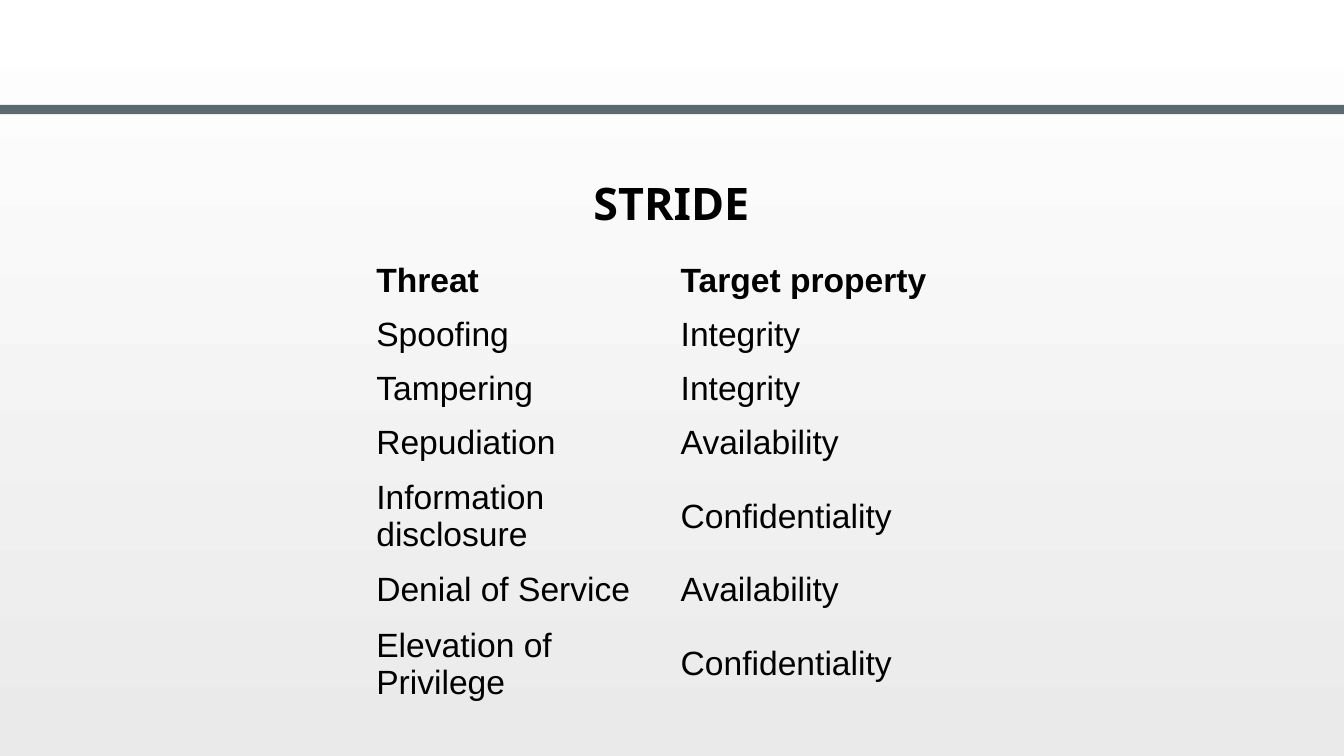
"""Build a slide that lists the STRIDE threats and the property each one targets."""
from pptx import Presentation
from pptx.dml.color import RGBColor
from pptx.enum.shapes import MSO_SHAPE
from pptx.enum.text import MSO_ANCHOR, PP_ALIGN
from pptx.oxml.ns import qn
from pptx.util import Inches, Pt

BLACK = RGBColor(0x00, 0x00, 0x00)
WHITE = RGBColor(0xFF, 0xFF, 0xFF)
LIGHT_GREY = RGBColor(0xEA, 0xEA, 0xEA)
SLATE = RGBColor(0x5E, 0x6A, 0x71)
NO_STYLE_NO_GRID = "{2D5ABB26-0587-4C30-8999-92F81FD0307C}"

THREATS = [
    ("Threat", "Target property"),
    ("Spoofing", "Integrity"),
    ("Tampering", "Integrity"),
    ("Repudiation", "Availability"),
    ("Information disclosure", "Confidentiality"),
    ("Denial of Service", "Availability"),
    ("Elevation of Privilege", "Confidentiality"),
]
ROW_HEIGHTS = [0.36, 0.36, 0.36, 0.36, 0.66, 0.36, 0.66]


def set_text(tf, text, size=18, font="Arial", bold=False,
             align=PP_ALIGN.LEFT, line_spacing=None):
    p = tf.paragraphs[0]
    p.alignment = align
    p.line_spacing = line_spacing
    r = p.add_run()
    r.text = text
    r.font.size = Pt(size)
    r.font.name = font
    r.font.bold = bold
    r.font.color.rgb = BLACK


def set_background(s):
    fill = s.background.fill
    fill.gradient()
    fill.gradient_angle = 90
    for stop, color in zip(fill.gradient_stops, (LIGHT_GREY, WHITE)):
        stop.color.rgb = color


def add_bar(s):
    sp = s.shapes.add_shape(MSO_SHAPE.RECTANGLE, Inches(0), Inches(0.78),
                            Inches(10), Inches(0.07))
    sp.shadow.inherit = False
    sp.fill.solid()
    sp.fill.fore_color.rgb = SLATE
    sp.line.fill.background()


def add_title(s, text):
    sp = s.shapes.add_textbox(Inches(0.39), Inches(1.32), Inches(9.21), Inches(0.44))
    tf = sp.text_frame
    tf.word_wrap = True
    tf.vertical_anchor = MSO_ANCHOR.BOTTOM
    tf.margin_left = tf.margin_right = Inches(0.5)
    set_text(tf, text, size=24, font="Noto Sans", bold=True,
             align=PP_ALIGN.CENTER, line_spacing=Pt(24))


def add_threat_table(s):
    frame = s.shapes.add_table(len(THREATS), 2, Inches(2.74), Inches(1.89),
                               Inches(4.53), Inches(sum(ROW_HEIGHTS)))
    table = frame.table
    table.horz_banding = False
    table._tbl.tblPr.find(qn("a:tableStyleId")).text = NO_STYLE_NO_GRID
    for i, (values, height) in enumerate(zip(THREATS, ROW_HEIGHTS)):
        table.rows[i].height = Inches(height)
        for cell, value in zip(table.rows[i].cells, values):
            cell.fill.background()
            cell.vertical_anchor = MSO_ANCHOR.MIDDLE
            cell.margin_left = cell.margin_right = Inches(0.06)
            cell.margin_top = cell.margin_bottom = Inches(0.05)
            set_text(cell.text_frame, value, bold=i == 0)


def main():
    prs = Presentation()
    prs.slide_width = Inches(10)
    prs.slide_height = Inches(10 * 9 / 16)
    s = prs.slides.add_slide(prs.slide_layouts[6])
    set_background(s)
    add_bar(s)
    add_title(s, "STRIDE")
    add_threat_table(s)
    prs.save("out.pptx")


if __name__ == "__main__":
    main()
